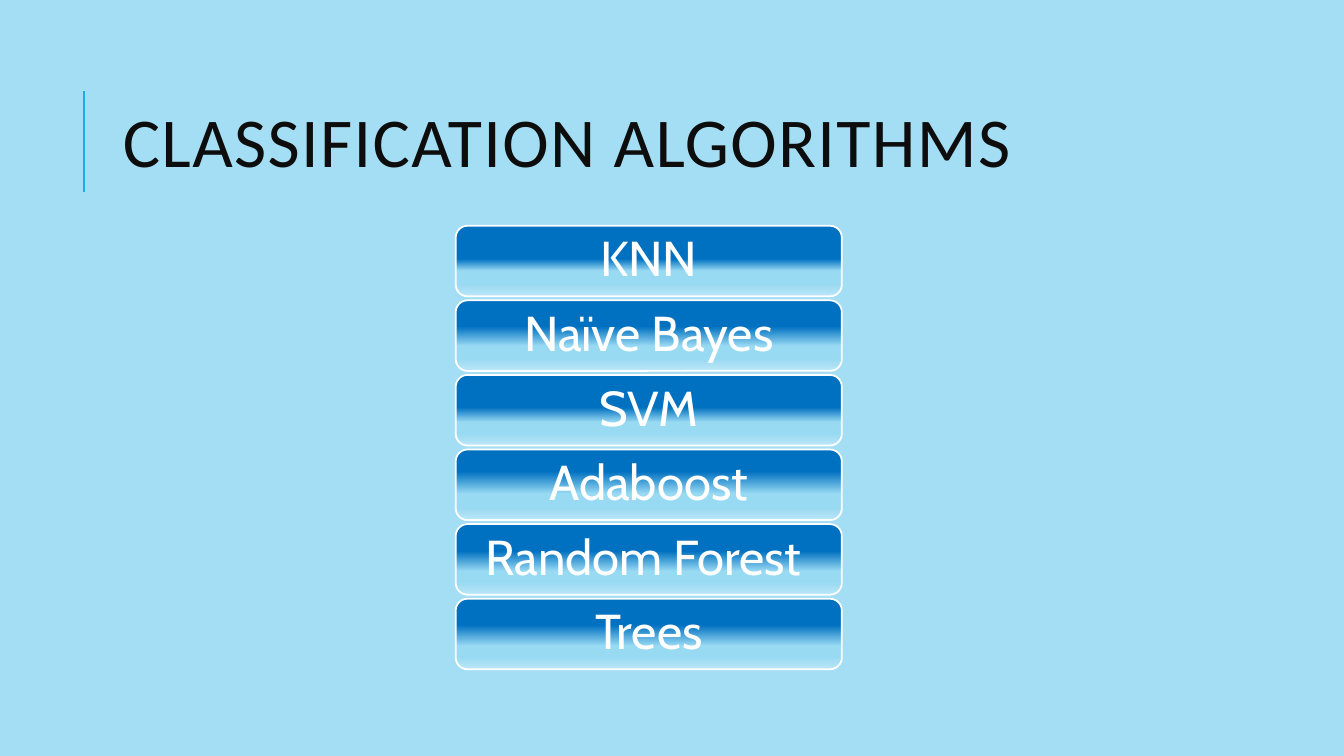
from dataclasses import dataclass

from lxml import etree
from pptx import Presentation
from pptx import util as u
from pptx.dml import color
from pptx.enum import shapes, text
from pptx.oxml import ns

SKY = "A4DEF4"
ACCENT = "1CADE4"
INK = "0D0D0D"
WHITE = "FFFFFF"
DEEP_BLUE = "0070C0"
PALE_BLUE = "99DAF3"
MIST = "BBE6F7"

BAR_LEFT, BAR_TOP, BAR_WIDTH, BAR_HEIGHT = 4.52, 2.24, 3.83, 0.7
BAR_PITCH = 0.74


@dataclass(frozen=True)
class Algorithm:
    name: str
    dark_until: int
    pale_from: int


ALGORITHMS = [
    Algorithm("KNN", 47, 64),
    Algorithm("Naïve Bayes", 37, 65),
    Algorithm("SVM", 46, 67),
    Algorithm("Adaboost", 31, 63),
    Algorithm("Random Forest ", 38, 67),
    Algorithm("Trees", 37, 67),
]


def rgb(value: str) -> color.RGBColor:
    return color.RGBColor.from_string(value)


def write(shape, content: str, *, size: float, font: str, ink: str,
          align=text.PP_ALIGN.LEFT, leading: float = 1.0,
          spacing: float = 0, insets: tuple[float, float] = (0.1, 0.05)) -> None:
    frame = shape.text_frame
    frame.word_wrap = True
    frame.vertical_anchor = text.MSO_ANCHOR.MIDDLE
    frame.margin_left = frame.margin_right = u.Inches(insets[0])
    frame.margin_top = frame.margin_bottom = u.Inches(insets[1])
    paragraph = frame.paragraphs[0]
    paragraph.alignment = align
    paragraph.line_spacing = leading
    run = paragraph.add_run()
    run.text = content
    run.font.size = u.Pt(size)
    run.font.name = font
    run.font.color.rgb = rgb(ink)
    if spacing:
        run.font._element.set("spc", str(round(spacing * 100)))


def fill_gradient(shape, stops: list[tuple[int, str]]) -> None:
    shape.fill.gradient()
    shape.fill.gradient_angle = 270
    stop_list = shape._element.spPr.find(".//" + ns.qn("a:gsLst"))
    for old_stop in list(stop_list):
        stop_list.remove(old_stop)
    for percent, value in stops:
        stop = etree.SubElement(stop_list, ns.qn("a:gs"), pos=str(percent * 1000))
        etree.SubElement(stop, ns.qn("a:srgbClr"), val=value)


def draw_title(slide) -> None:
    rule = slide.shapes.add_connector(
        shapes.MSO_CONNECTOR.STRAIGHT,
        u.Inches(0.83), u.Inches(1.9), u.Inches(0.83), u.Inches(0.9))
    rule.line.color.rgb = rgb(ACCENT)
    rule.line.width = u.Pt(1.5)
    etree.SubElement(rule._element.spPr, ns.qn("a:effectLst"))
    title = slide.shapes.add_textbox(
        u.Inches(1.12), u.Inches(0.64), u.Inches(10.63), u.Inches(1.64))
    write(title, "CLASSIFICATION ALGORITHMS", size=50, font="Calibri", ink=INK,
          leading=0.8, spacing=1)


def draw_algorithm(slide, algorithm: Algorithm, top: float) -> None:
    bar = slide.shapes.add_shape(
        shapes.MSO_SHAPE.ROUNDED_RECTANGLE,
        u.Inches(BAR_LEFT), u.Inches(top), u.Inches(BAR_WIDTH), u.Inches(BAR_HEIGHT))
    bar.shadow.inherit = False
    fill_gradient(bar, [(algorithm.dark_until, DEEP_BLUE),
                        (algorithm.pale_from, PALE_BLUE),
                        (83, PALE_BLUE), (100, MIST)])
    bar.line.color.rgb = rgb(WHITE)
    bar.line.width = u.Pt(1.25)
    write(bar, algorithm.name, size=35, font="Cabin", ink=WHITE,
          align=text.PP_ALIGN.CENTER, leading=0.9, insets=(0.15, 0.07))


def main() -> None:
    deck = Presentation()
    deck.slide_width, deck.slide_height = u.Inches(13.33), u.Inches(7.5)
    slide = deck.slides.add_slide(deck.slide_layouts[6])
    slide.background.fill.solid()
    slide.background.fill.fore_color.rgb = rgb(SKY)
    draw_title(slide)
    for row, algorithm in enumerate(ALGORITHMS):
        draw_algorithm(slide, algorithm, BAR_TOP + row * BAR_PITCH)
    deck.save("out.pptx")


if __name__ == "__main__":
    main()
